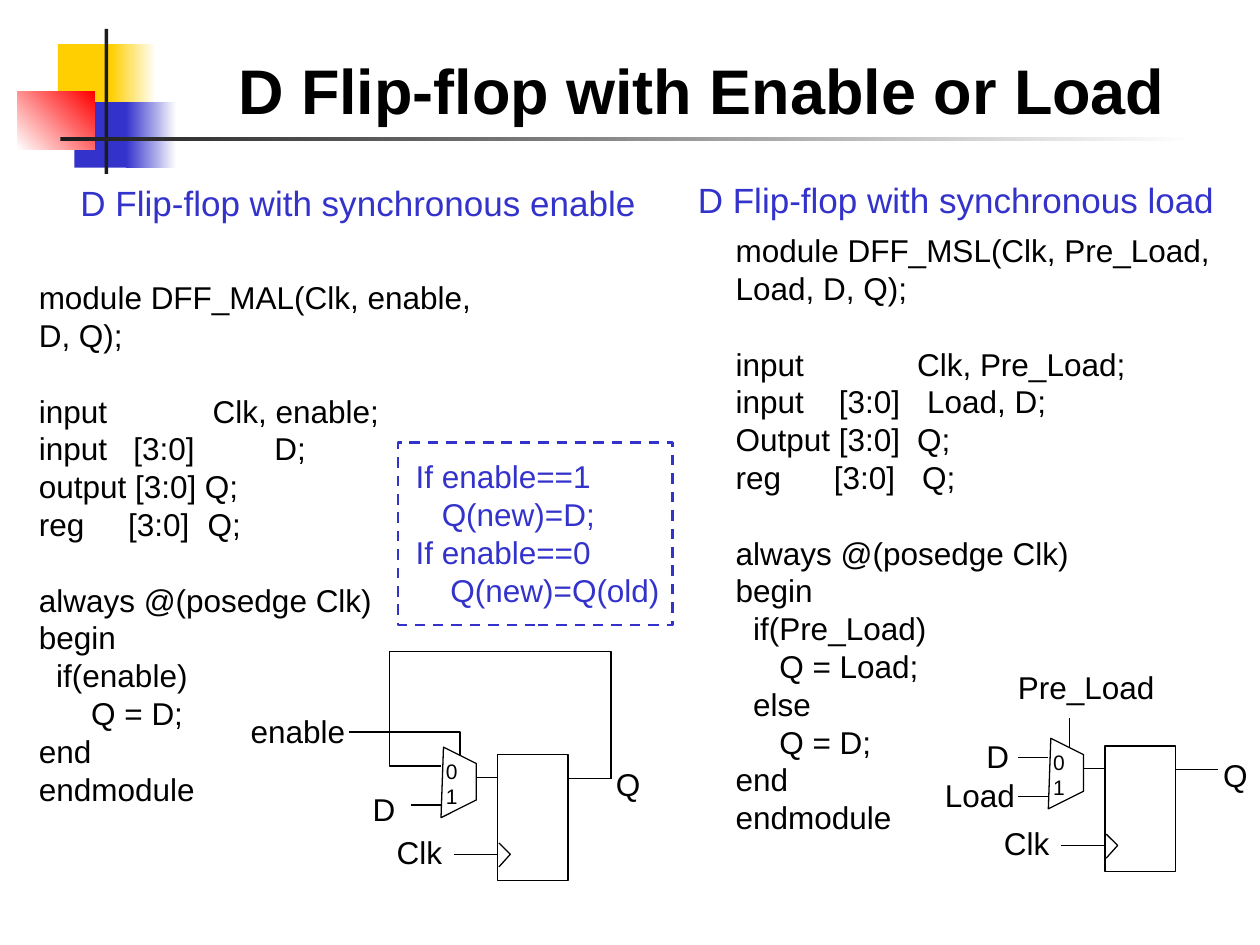
from lxml.etree import SubElement
from pptx import Presentation
from pptx.dml.color import RGBColor
from pptx.enum.dml import MSO_LINE
from pptx.enum.shapes import MSO_CONNECTOR, MSO_SHAPE
from pptx.enum.text import MSO_ANCHOR, MSO_AUTO_SIZE, PP_ALIGN
from pptx.oxml.ns import qn
from pptx.util import Inches, Pt

COLORS = {"ink": "000000", "blue": "3333CC", "yellow": "FFCF01",
          "red": "FF0000", "dark": "1C1C1C", "white": "FFFFFF"}
FONT = "Arial"
LINE_HEIGHT = 1.2  # line pitch as a multiple of the text size

# Code lines; a tuple adds tab stops in inches, an empty line is a gap
ENABLE_CODE = [
    "module DFF_MAL(Clk, enable,", "D, Q);", "",
    ("input\tClk, enable;", 1.38), ("input\t[3:0]\tD;", 0.75, 1.87),
    "output [3:0] Q;", ("reg\t[3:0]\tQ;", 0.71, 1.34), "",
    "always @(posedge Clk)", "begin", "  if(enable)", "      Q = D;",
    "end", "endmodule"]
LOAD_CODE = [
    "module DFF_MSL(Clk, Pre_Load,", "Load, D, Q);", "",
    ("input\tClk, Pre_Load;", 1.44), ("input\t[3:0]\tLoad, D;", 0.82, 1.52),
    ("Output [3:0]\tQ;", 1.44), ("reg\t[3:0]\tQ;", 0.78, 1.48), "",
    "always @(posedge Clk)", "begin", "  if(Pre_Load)", "     Q = Load;",
    "  else", "     Q = D;", "end", "endmodule"]
RULE_LINES = ["If enable==1", "   Q(new)=D;", "If enable==0", "    Q(new)=Q(old)"]


def rgb(name):
    return RGBColor.from_string(COLORS[name])


def set_tabs(para, stops):
    tab_list = SubElement(para._p.get_or_add_pPr(), qn("a:tabLst"))
    for stop in stops:
        SubElement(tab_list, qn("a:tab"), pos=str(Inches(stop)), algn="l")


def format_para(para, size, color, bold=False):
    para.alignment = PP_ALIGN.LEFT
    para.line_spacing = Pt(size * LINE_HEIGHT)
    for span in para.runs:
        span.font.name = FONT
        span.font.size = Pt(size)
        span.font.bold = bold
        span.font.color.rgb = rgb(color)


def add_text(page, lines, left, top, width, height, size=18, color="ink",
             wrap=False, anchor=MSO_ANCHOR.TOP, fit=MSO_AUTO_SIZE.SHAPE_TO_FIT_TEXT):
    box = page.shapes.add_textbox(Inches(left), Inches(top), Inches(width), Inches(height))
    frame = box.text_frame
    frame.word_wrap = wrap
    frame.auto_size = fit
    frame.vertical_anchor = anchor
    para, gap = None, False
    for line in lines:
        if not line:
            gap = True
            continue
        text, *stops = (line,) if isinstance(line, str) else line
        para = frame.add_paragraph() if para else frame.paragraphs[0]
        para.text = text
        if stops:
            set_tabs(para, stops)
        if gap:
            para.space_before = Pt(size * LINE_HEIGHT)
            gap = False
        format_para(para, size, color)


def add_bar(page, left, top, width, height, start, end=None, angle=0):
    bar = page.shapes.add_shape(MSO_SHAPE.RECTANGLE, Inches(left), Inches(top),
                                Inches(width), Inches(height))
    bar.shadow.inherit = False
    bar.line.fill.background()
    if end is None:
        bar.fill.solid()
        bar.fill.fore_color.rgb = rgb(start)
        return
    bar.fill.gradient()
    bar.fill.gradient_angle = angle
    for stop, name in zip(bar.fill.gradient_stops, (start, end)):
        stop.color.rgb = rgb(name)


def outline(shape, color="ink", weight=0.75):
    shape.shadow.inherit = False
    shape.fill.background()
    shape.line.color.rgb = rgb(color)
    shape.line.width = Pt(weight)


def add_frame(page, left, top, width, height, color="ink", weight=0.75):
    frame = page.shapes.add_shape(MSO_SHAPE.RECTANGLE, Inches(left), Inches(top),
                                  Inches(width), Inches(height))
    outline(frame, color, weight)
    return frame


def add_wire(page, x1, y1, x2, y2):
    wire = page.shapes.add_connector(MSO_CONNECTOR.STRAIGHT, Inches(x1), Inches(y1),
                                     Inches(x2), Inches(y2))
    wire.line.color.rgb = rgb("ink")
    wire.line.width = Pt(0.75)
    SubElement(wire._element.spPr, qn("a:effectLst"))


def add_path(page, points, close=False):
    start, *rest = [(Inches(x), Inches(y)) for x, y in points]
    builder = page.shapes.build_freeform(*start)
    builder.add_line_segments(rest, close=close)
    outline(builder.convert_to_shape())


def add_flip_flop(page, x, y):
    """Register at (x, y) with a two-way multiplexer in front of it."""
    add_frame(page, x, y, 0.56, 1)
    add_path(page, [(x + 0.01, y + 0.7), (x + 0.1, y + 0.79), (x + 0.01, y + 0.89)])
    add_path(page, [(x - 0.43, y - 0.06), (x - 0.17, y + 0.07),
                    (x - 0.17, y + 0.36), (x - 0.45, y + 0.5)], close=True)
    # Clock, output, multiplexer output and its two inputs
    for start, end, level in [(-0.35, 0, 0.79), (0.56, 0.9, 0.19), (-0.17, 0, 0.18),
                              (-0.69, -0.45, 0.09), (-0.69, -0.45, 0.4)]:
        add_wire(page, x + start, y + level, x + end, y + level)
    add_text(page, ["Q"], x + 0.84, y + 0.03, 0.39, 0.4)
    add_text(page, ["Clk"], x - 0.9, y + 0.57, 0.56, 0.4)
    add_text(page, ["0", "1"], x - 0.51, y - 0.02, 0.29, 0.5, size=12)


def add_decoration(page):
    add_bar(page, 0.46, 0.35, 0.48, 0.52, "yellow")
    add_bar(page, 0.88, 0.35, 0.36, 0.52, "yellow", "white")
    add_bar(page, 0.59, 0.81, 0.46, 0.52, "blue")
    add_bar(page, 1, 0.81, 0.4, 0.52, "blue", "white")
    add_bar(page, 0.14, 0.73, 0.61, 0.46, "white", "red", angle=45)
    add_bar(page, 0.83, 0.23, 0.03, 1.15, "dark")
    add_bar(page, 0.48, 1.09, 9, 0.03, "dark", "white")


def set_title(page, text):
    title = page.shapes.title
    title.left, title.top = Inches(1.79), Inches(0.36)
    title.width, title.height = Inches(7.62), Inches(0.7)
    frame = title.text_frame
    frame.text = text
    frame.word_wrap = False
    frame.auto_size = MSO_AUTO_SIZE.SHAPE_TO_FIT_TEXT
    frame.vertical_anchor = MSO_ANCHOR.TOP
    format_para(frame.paragraphs[0], 36, "ink", bold=True)


def main():
    deck = Presentation()
    deck.slide_width, deck.slide_height = Inches(10), Inches(7.5)
    page = deck.slides.add_slide(deck.slide_layouts[5])
    add_decoration(page)
    set_title(page, "D Flip-flop with Enable or Load")

    # Code columns
    add_text(page, LOAD_CODE, 5.74, 2.07, 4.26, 4.33,
             anchor=MSO_ANCHOR.MIDDLE, fit=MSO_AUTO_SIZE.NONE)
    add_text(page, ENABLE_CODE, 0.21, 2.16, 4.76, 4.57, fit=MSO_AUTO_SIZE.NONE)
    add_text(page, ["D Flip-flop with synchronous enable"], 0.54, 1.39, 4.91, 0.44,
             size=20, color="blue", wrap=True)
    add_text(page, ["D Flip-flop with synchronous load"], 5.44, 1.37, 4.49, 0.44,
             size=20, color="blue", wrap=True)

    # Circuit with load
    add_flip_flop(page, 8.77, 5.92)
    add_wire(page, 8.49, 5.7, 8.49, 5.94)
    add_text(page, ["D"], 7.73, 5.8, 0.38, 0.4)
    add_text(page, ["Load"], 7.4, 6.11, 0.78, 0.4)
    add_text(page, ["Pre_Load"], 7.98, 5.25, 1.32, 0.4)

    # Circuit with enable and its feedback path
    add_flip_flop(page, 3.95, 5.99)
    add_text(page, ["D"], 2.86, 6.22, 0.38, 0.4)
    add_text(page, ["enable"], 1.89, 5.6, 0.97, 0.4)
    add_path(page, [(4.85, 6.18), (4.85, 5.17), (3.09, 5.17), (3.09, 6.08), (3.29, 6.08)])
    add_path(page, [(3.65, 5.99), (3.65, 5.81), (2.77, 5.81)])

    # Rule for enable
    add_text(page, RULE_LINES, 3.2, 3.58, 2.14, 1.3, color="blue")
    border = add_frame(page, 3.16, 3.51, 2.18, 1.45, "blue", 1.5)
    border.line.dash_style = MSO_LINE.DASH

    deck.save("out.pptx")


if __name__ == "__main__":
    main()
